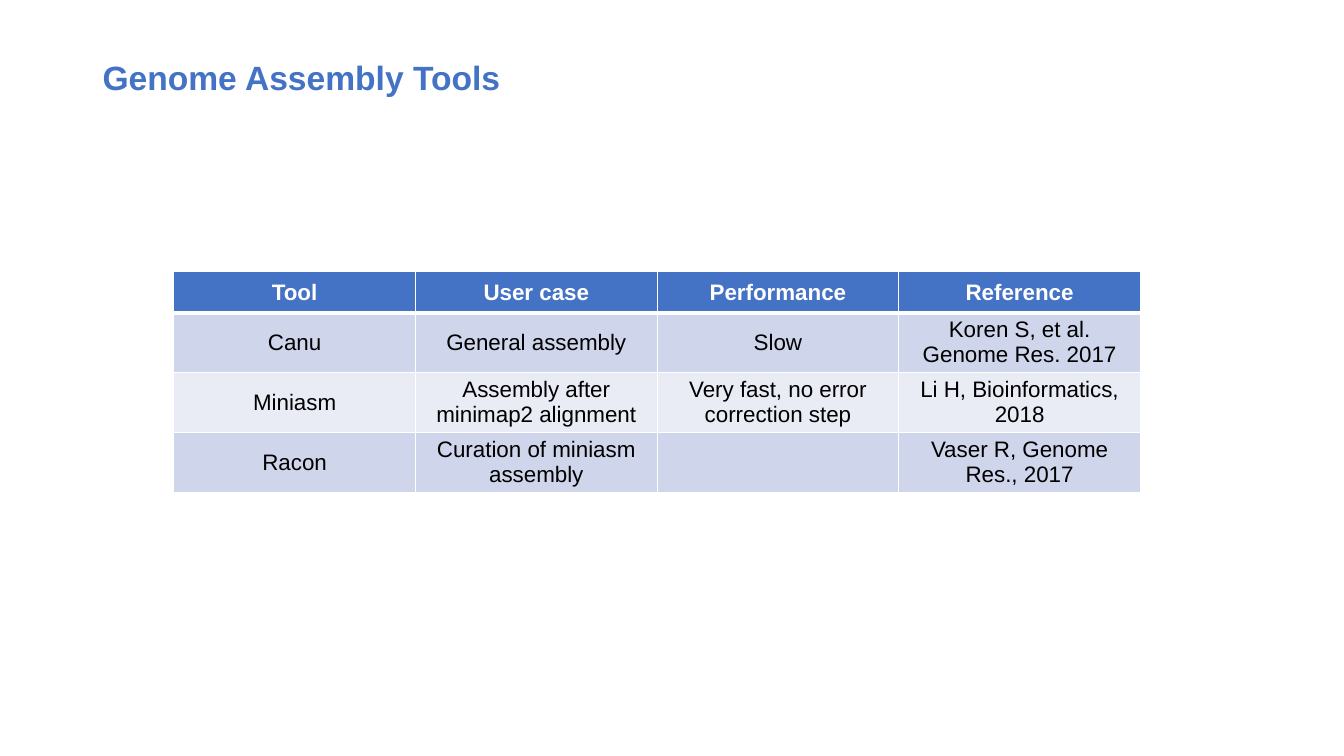
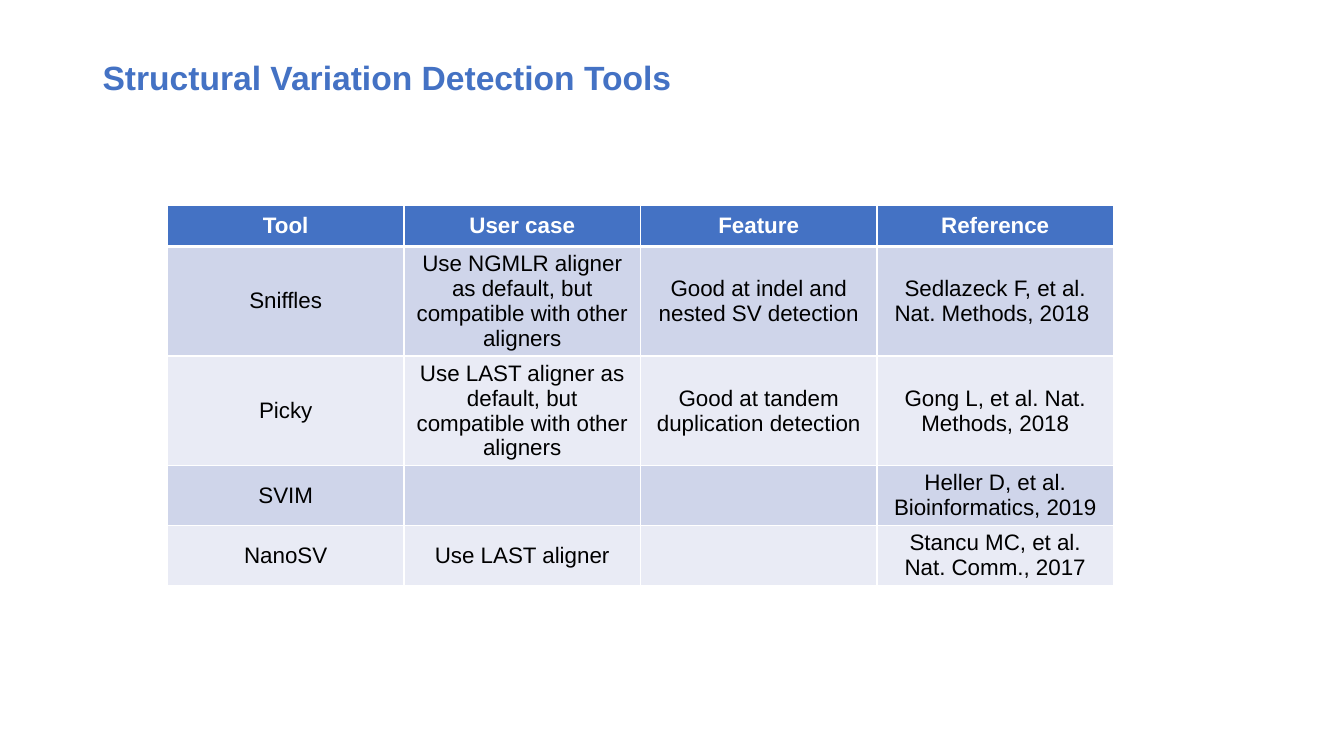
import pptx
import pptx.util
import pptx.dml.color
import pptx.enum.text
import pptx.oxml
import pptx.oxml.ns

Cm, Pt = pptx.util.Cm, pptx.util.Pt
ALIGN, ANCHOR = pptx.enum.text.PP_ALIGN, pptx.enum.text.MSO_ANCHOR

# Shared look
COLOURS = {
    "accent": "4472C4",
    "odd_row": "CFD5EA",
    "even_row": "E9EBF5",
    "white": "FFFFFF",
    "black": "000000",
}
TITLE_PLACE = {"left": Cm(2.33), "top": Cm(1.02), "width": Cm(29.21), "height": Cm(1.96)}
TITLE_FONT = {"name": "Arial", "size": Pt(24), "bold": True}
HEADER_FONT = {"name": "Arial", "size": Pt(16), "bold": True}
BODY_FONT = {"name": "Arial", "size": Pt(16), "bold": False}
ROW_HEIGHT = Cm(1.03)  # rows grow with their text
THIN, THICK = 1, 3

# Content
PAGES = [
    {
        "title": "Genome Assembly Tools",
        "left": 4.38, "top": 6.85, "column": 6.09,
        "rows": [
            ["Tool", "User case", "Performance", "Reference"],
            ["Canu", "General assembly", "Slow", "Koren S, et al. Genome Res. 2017"],
            ["Miniasm", "Assembly after minimap2 alignment",
             "Very fast, no error correction step", "Li H, Bioinformatics, 2018"],
            ["Racon", "Curation of miniasm assembly", "", "Vaser R, Genome Res., 2017"],
        ],
    },
    {
        "title": "Structural Variation Detection Tools",
        "left": 4.22, "top": 5.18, "column": 5.96,
        "rows": [
            ["Tool", "User case", "Feature", "Reference"],
            ["Sniffles", "Use NGMLR aligner as default, but compatible with other aligners",
             "Good at indel and nested SV detection", "Sedlazeck F, et al. Nat. Methods, 2018 "],
            ["Picky", "Use LAST aligner as default, but compatible with other aligners",
             "Good at tandem duplication detection", "Gong L, et al. Nat. Methods, 2018"],
            ["SVIM", "", "", "Heller D, et al. Bioinformatics, 2019"],
            ["NanoSV", "Use LAST aligner", "", "Stancu MC, et al. Nat. Comm., 2017"],
        ],
    },
]


def format_font(font, values, colour):
    for name, value in values.items():
        setattr(font, name, value)
    font.color.rgb = pptx.dml.color.RGBColor.from_string(COLOURS[colour])


def add_border(cell, side, points):
    cell._tc.get_or_add_tcPr().append(pptx.oxml.parse_xml(
        f'<a:ln{side} {pptx.oxml.ns.nsdecls("a")} w="{Pt(points)}"><a:solidFill>'
        f'<a:srgbClr val="{COLOURS["white"]}"/></a:solidFill></a:ln{side}>'))


deck = pptx.Presentation()
deck.slide_width, deck.slide_height = Cm(33.87), Cm(19.05)
title_only = deck.slide_layouts[5]

for content in PAGES:
    page = deck.slides.add_slide(title_only)

    # Title
    title = page.shapes.title
    for name, value in TITLE_PLACE.items():
        setattr(title, name, value)
    title.text_frame.text = content["title"]
    title.text_frame.vertical_anchor = ANCHOR.MIDDLE
    para = title.text_frame.paragraphs[0]
    para.alignment, para.line_spacing = ALIGN.LEFT, 0.9
    format_font(para.runs[0].font, TITLE_FONT, "accent")

    # Table
    rows = content["rows"]
    column_count = len(rows[0])
    table = page.shapes.add_table(
        len(rows), column_count, Cm(content["left"]), Cm(content["top"]),
        Cm(content["column"]) * column_count, ROW_HEIGHT * len(rows)).table

    for row_index, texts in enumerate(rows):
        is_header = row_index == 0
        if is_header:
            fill, font, colour = "accent", HEADER_FONT, "white"
        else:
            fill = "odd_row" if row_index % 2 else "even_row"
            font, colour = BODY_FONT, "black"

        for column_index, text in enumerate(texts):
            cell = table.cell(row_index, column_index)
            borders = {"L": THIN, "R": THIN,
                       "T": THICK if row_index == 1 else THIN,
                       "B": THICK if is_header else THIN}
            for side, points in borders.items():
                add_border(cell, side, points)
            cell.fill.solid()
            cell.fill.fore_color.rgb = pptx.dml.color.RGBColor.from_string(COLOURS[fill])
            cell.vertical_anchor = ANCHOR.MIDDLE
            if text:
                cell.text = text
                para = cell.text_frame.paragraphs[0]
                para.alignment = ALIGN.CENTER
                format_font(para.runs[0].font, font, colour)

deck.save("out.pptx")
